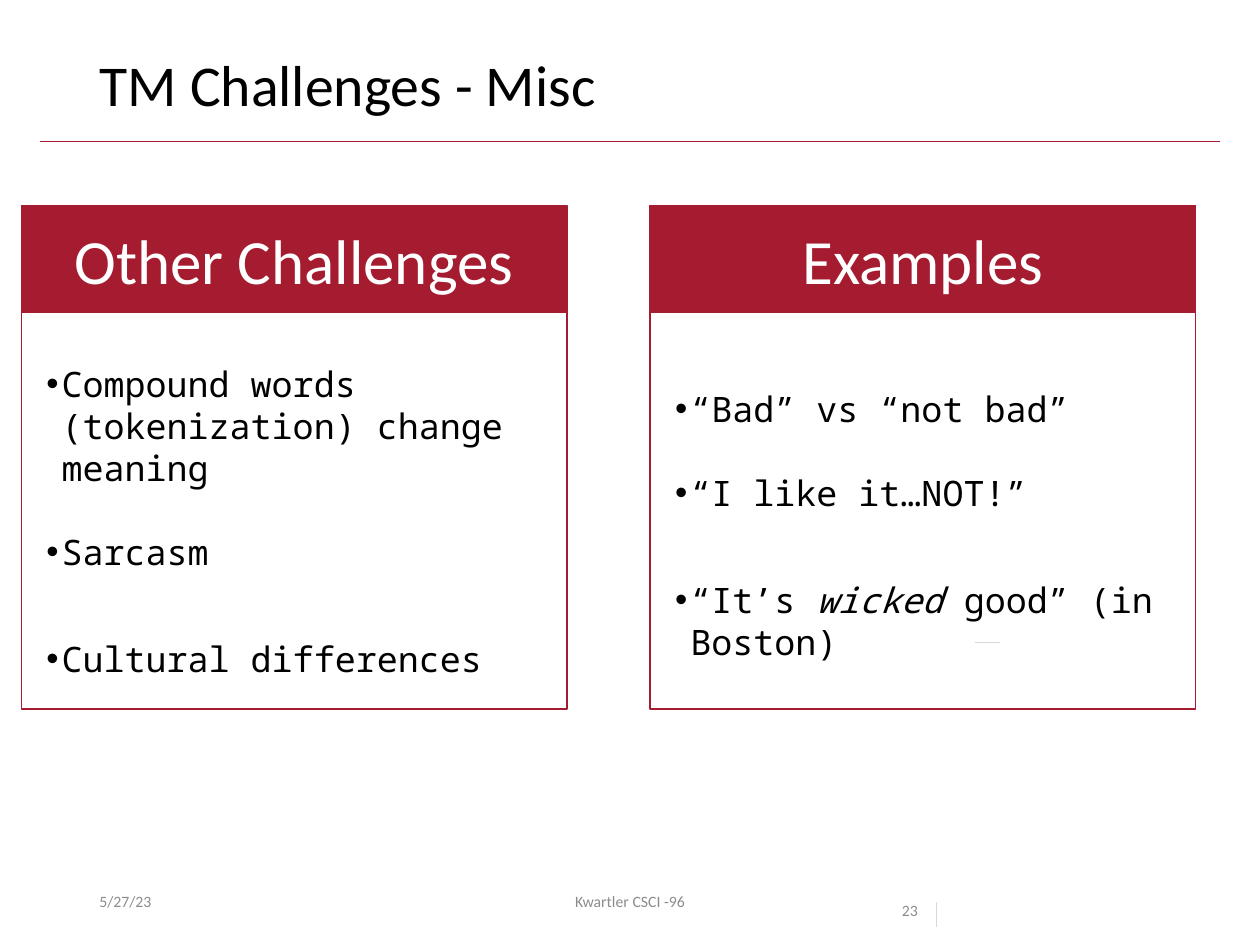
from lxml.etree import SubElement
from pptx import Presentation
from pptx.dml.color import RGBColor
from pptx.enum.shapes import MSO_CONNECTOR as CONN, MSO_SHAPE as SHAPE
from pptx.enum.text import MSO_ANCHOR as ANCHOR, PP_ALIGN as ALIGN
from pptx.oxml.ns import qn
from pptx.util import Inches, Pt

CRIMSON = RGBColor(0xA5, 0x1C, 0x30)
BLACK = RGBColor(0, 0, 0)
WHITE = RGBColor(0xFF, 0xFF, 0xFF)
GREY = RGBColor(0x8C, 0x8C, 0x8C)
PALE = RGBColor(0xD9, 0xD9, 0xD9)
COLS, ROWS = 100, 75

TITLE = dict(name="Calibri", size=Pt(33), color=BLACK)
HEADING = dict(name="Calibri", size=Pt(36), color=WHITE)
BODY = dict(name="Noto Sans Mono", size=Pt(20), color=BLACK)
FOOTER = dict(name="Calibri", size=Pt(9), color=GREY)


class Page:
    """One slide, measured in grid columns and rows."""

    def __init__(self, prs):
        self.s = prs.slides.add_slide(prs.slide_layouts[5])
        self.col, self.row = prs.slide_width / COLS, prs.slide_height / ROWS

    def place(self, x, y, w, h):
        return (round(x * self.col), round(y * self.row),
                round(w * self.col), round(h * self.row))

    def styled_run(self, p, text, style, **extra):
        r = p.add_run()
        r.text = text
        for key, value in {**style, **extra}.items():
            if key == "color":
                r.font.color.rgb = value
            else:
                setattr(r.font, key, value)

    def apply(self, target, **values):
        for key, value in values.items():
            setattr(target, key, value)

    def title(self, text, *box):
        sp = self.s.shapes.title
        sp.left, sp.top, sp.width, sp.height = self.place(*box)
        tf = sp.text_frame
        tf.vertical_anchor = ANCHOR.TOP
        self.apply(tf.paragraphs[0], alignment=ALIGN.LEFT, line_spacing=0.9)
        self.styled_run(tf.paragraphs[0], text, TITLE)

    def text(self, box, anchor=ANCHOR.TOP):
        tf = self.s.shapes.add_textbox(*self.place(*box)).text_frame
        self.apply(tf, word_wrap=True, vertical_anchor=anchor)
        return tf

    def footer(self, text, box, anchor=ANCHOR.MIDDLE, **values):
        p = self.text(box, anchor).paragraphs[0]
        self.apply(p, **values)
        self.styled_run(p, text, FOOTER)

    def rect(self, box, fill=None):
        sp = self.s.shapes.add_shape(SHAPE.RECTANGLE, *self.place(*box))
        sp.shadow.inherit = False
        if fill is None:
            sp.fill.background()
        else:
            sp.fill.solid()
            sp.fill.fore_color.rgb = fill
        sp.line.color.rgb, sp.line.width = CRIMSON, Pt(1)
        return sp

    def line(self, x1, y1, x2, y2, color):
        ln = self.s.shapes.add_connector(CONN.STRAIGHT, *self.place(x1, y1, x2, y2))
        ln.line.color.rgb, ln.line.width = color, Pt(0.5)
        SubElement(ln._element.spPr, qn("a:effectLst"))

    def bullets(self, box, items):
        tf = self.text(box)
        for i, (gap, runs) in enumerate(items):
            p = tf.paragraphs[0] if i == 0 else tf.add_paragraph()
            pPr = p._p.get_or_add_pPr()
            pPr.set("marL", str(Inches(0.12)))
            pPr.set("indent", str(-Inches(0.12)))
            SubElement(pPr, qn("a:buFont"), typeface="Arial")
            SubElement(pPr, qn("a:buChar"), char="•")
            self.apply(p, line_spacing=Pt(24), space_before=Pt(gap))
            for text, italic in runs:
                self.styled_run(p, text, BODY, italic=italic)

    def panel(self, x, heading, text_top, text_height, items):
        self.bullets((x + 1, text_top, 41.5, text_height), items)
        sp = self.rect((x, 16.3, 43.3, 8.5), CRIMSON)
        sp.text_frame.vertical_anchor = ANCHOR.MIDDLE
        p = sp.text_frame.paragraphs[0]
        p.alignment = ALIGN.CENTER
        self.styled_run(p, heading, HEADING)
        self.rect((x, 17.8, 43.3, 38.5))


def main():
    prs = Presentation()
    prs.slide_width, prs.slide_height = Inches(10), Inches(7.5)
    page = Page(prs)

    # Title and rule
    page.title("TM Challenges - Misc", 6.9, 4, 86.2, 6.5)
    page.line(3.2, 11.2, 96.8, 11.2, CRIMSON)

    # Footer
    page.footer("5/27/23", (6.9, 69.5, 22.5, 4))
    page.footer("Kwartler CSCI -96", (33.1, 69.5, 33.8, 4), alignment=ALIGN.CENTER)
    page.footer("23", (70.6, 69.5, 9.4, 4), ANCHOR.TOP, line_spacing=2.0)

    # Panels: each bullet is (space before, runs)
    page.panel(1.7, "Other Challenges", 28.3, 23.1, [
        (0, [("Compound words (tokenization) change meaning", False)]),
        (24, [("Sarcasm", False)]),
        (37, [("Cultural differences", False)]),
    ])
    page.panel(51.6, "Examples", 30.3, 19.7, [
        (0, [("“Bad” vs “not bad”", False)]),
        (24, [("“I like it…NOT!”", False)]),
        (37, [("“It’s ", False), ("wicked", True), (" good” (in Boston)", False)]),
    ])

    # Small tick marks
    page.line(74.3, 71.6, 74.3, 73.6, PALE)
    page.line(77.4, 51, 79.4, 51, PALE)

    prs.save("out.pptx")


if __name__ == "__main__":
    main()
